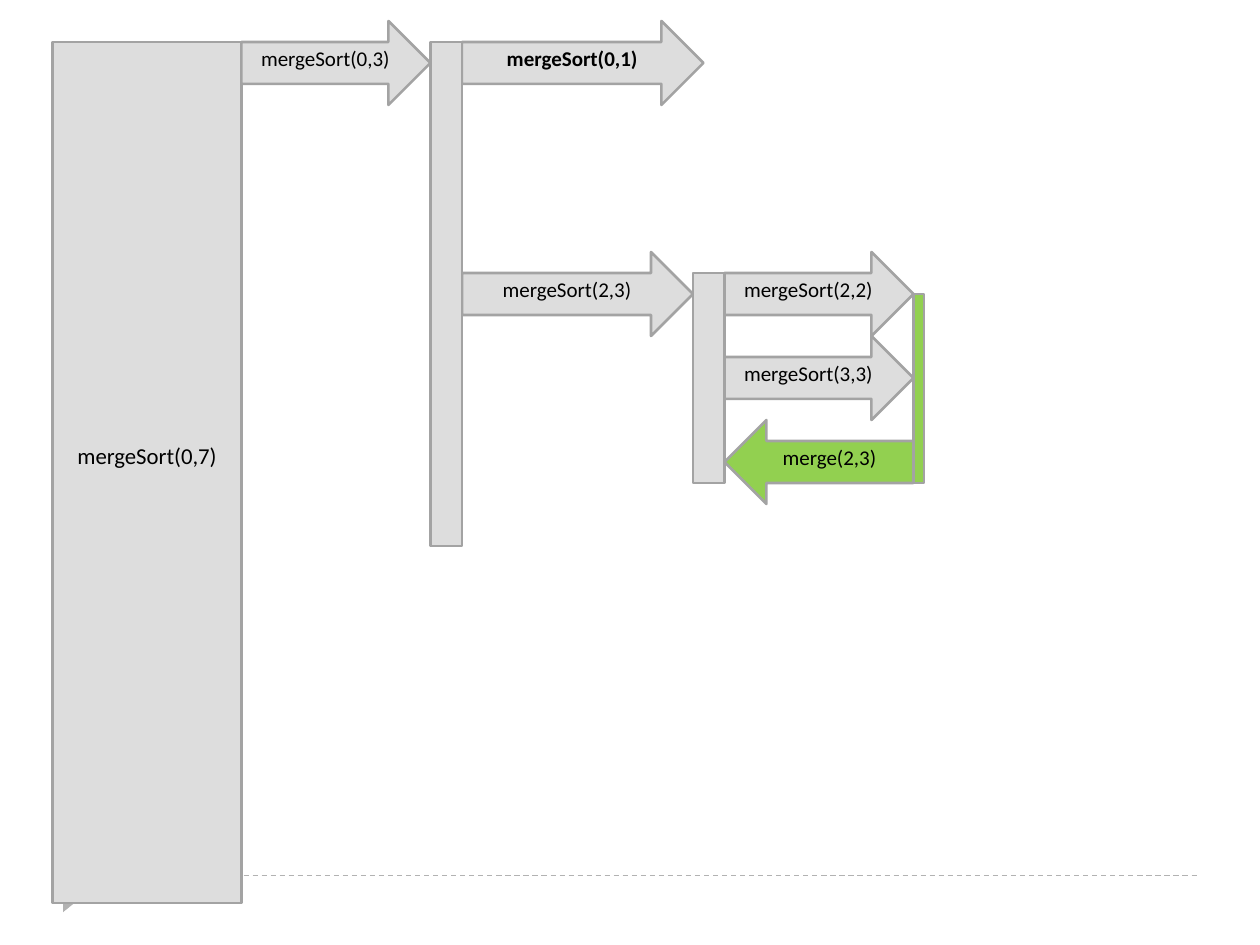
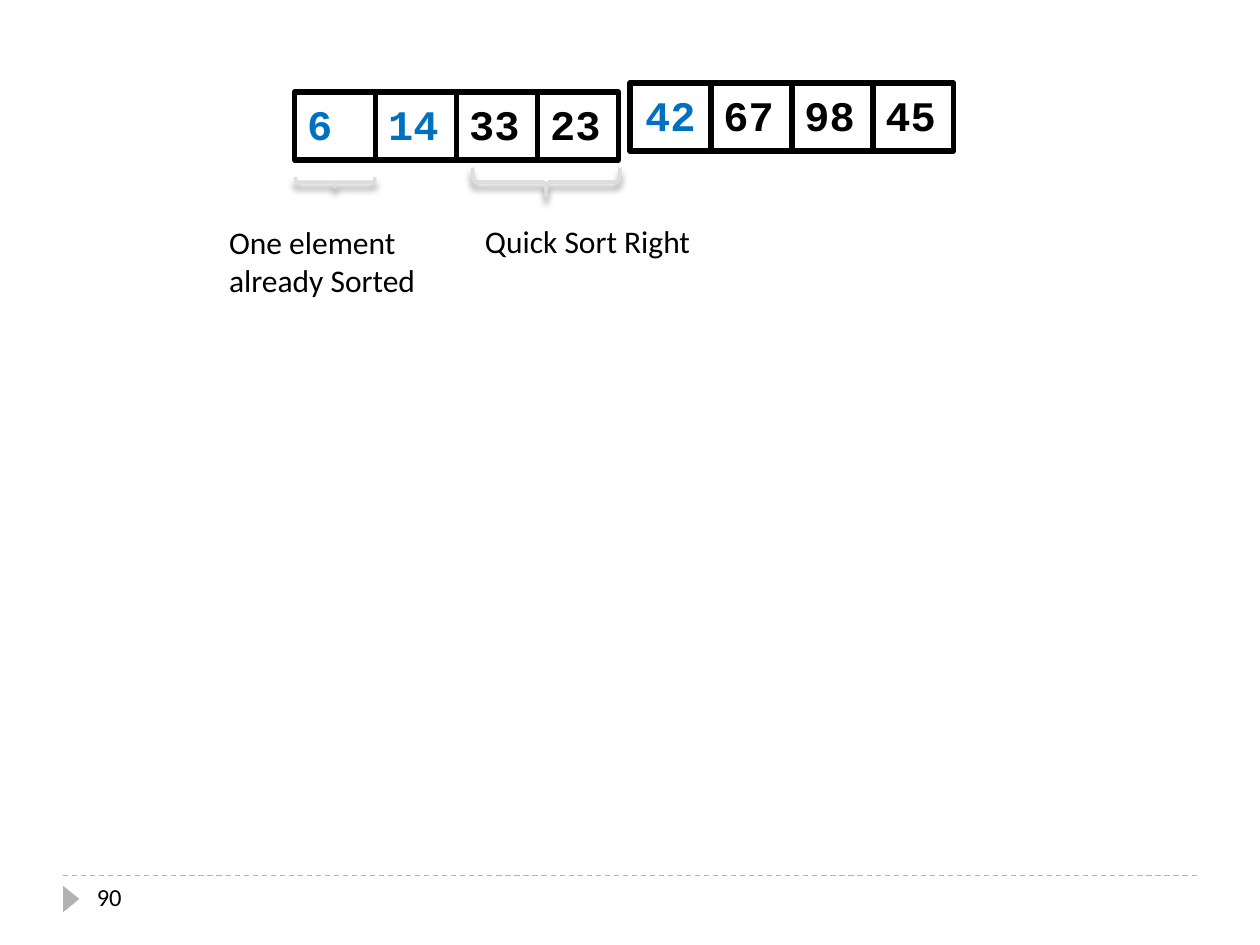
from dataclasses import dataclass

from lxml import etree
from pptx import Presentation
from pptx import util as u
from pptx.dml import color
from pptx.enum import dml, shapes, text
from pptx.oxml import ns

RECTANGLE = shapes.MSO_SHAPE.RECTANGLE
RIGHT = shapes.MSO_SHAPE.RIGHT_ARROW
LEFT = shapes.MSO_SHAPE.LEFT_ARROW
BRACE = shapes.MSO_SHAPE.RIGHT_BRACE


@dataclass(frozen=True)
class Theme:
    gray: str = "DDDDDD"
    outline: str = "A3A3A3"
    footer: str = "B2B2B2"
    green: str = "92D050"
    blue: str = "0070C0"
    black: str = "000000"
    body_font: str = "Calibri"
    code_font: str = "Courier New"
    call_size: int = 12
    root_size: int = 13
    number_size: int = 14
    label_size: int = 18
    cell_size: int = 24


THEME = Theme()

GRID = 12
ARROW_HEIGHT = 8
ROOT_CALL = ("mergeSort(0,7)", (5, 4, 18, 82))
CALL_ARROWS = [
    ("mergeSort(0,3)", 23, 2, 18, RIGHT, THEME.gray, False),
    ("mergeSort(0,1)", 44, 2, 23, RIGHT, THEME.gray, True),
    ("mergeSort(2,3)", 44, 24, 22, RIGHT, THEME.gray, False),
    ("mergeSort(2,2)", 69, 24, 18, RIGHT, THEME.gray, False),
    ("mergeSort(3,3)", 69, 32, 18, RIGHT, THEME.gray, False),
    ("merge(2,3)", 69, 40, 18, LEFT, THEME.green, False),
]
CALL_BARS = [
    ((41, 4, 3, 48), THEME.gray),
    ((66, 26, 3, 20), THEME.gray),
    ((87, 28, 1, 18), THEME.green),
]

CELL_WIDTH, CELL_HEIGHT = 0.64, 0.54
CELL_PITCH = 0.643
ARRAY_HALVES = [
    (2.34, 0.73, ["6", "14", "33", "23"]),
    (5.0, 0.66, ["42", "67", "98", "45"]),
]
PLACED_VALUES = {"6", "14", "42"}
CENTERED_VALUES = {"42"}
BRACES = [(2.62, 1.13, 0.08, 0.63), (4.22, 0.86, 0.23, 1.17)]
LABELS = [
    ("90", (0.67, 6.95, 2.17, 0.4), THEME.number_size),
    ("One element already Sorted", (1.72, 1.72, 1.72, 0.71), THEME.label_size),
    ("Quick Sort Right", (3.75, 1.71, 2.19, 0.4), THEME.label_size),
]


def rgb(value):
    return color.RGBColor.from_string(value)


def inches(box):
    return [u.Inches(value) for value in box]


def grid_box(box):
    return [value / GRID for value in box]


def add_shape(slide, kind, box, fill=None, line=None, width=1.5):
    shape = slide.shapes.add_shape(kind, *inches(box))
    shape.shadow.inherit = False
    if fill:
        shape.fill.solid()
        shape.fill.fore_color.rgb = rgb(fill)
    else:
        shape.fill.background()
    if line:
        shape.line.color.rgb = rgb(line)
        shape.line.width = u.Pt(width)
    else:
        shape.line.fill.background()
    return shape


def write(shape, words, size, font=THEME.body_font, ink=THEME.black,
          bold=False, align=text.PP_ALIGN.LEFT):
    frame = shape.text_frame
    frame.word_wrap = True
    paragraph = frame.paragraphs[0]
    paragraph.text = words
    paragraph.alignment = align
    paragraph.font.name = font
    paragraph.font.size = u.Pt(size)
    paragraph.font.bold = bold
    paragraph.font.color.rgb = rgb(ink)
    return frame


def write_call(shape, words, size, lift, bold=False):
    frame = write(shape, words, size, bold=bold, align=text.PP_ALIGN.CENTER)
    frame.vertical_anchor = text.MSO_ANCHOR.MIDDLE
    frame.margin_top = 0
    frame.margin_bottom = u.Inches(lift)


def add_footer_to_master(presentation, slide):
    rule = slide.shapes.add_connector(
        shapes.MSO_CONNECTOR.STRAIGHT, *inches((0.5, 6.95, 9.5, 6.95)))
    rule.line.color.rgb = rgb(THEME.footer)
    rule.line.width = u.Pt(0.75)
    rule.line.dash_style = dml.MSO_LINE.DASH
    etree.SubElement(rule.element.spPr, ns.qn("a:effectLst"))
    marker = add_shape(slide, shapes.MSO_SHAPE.ISOSCELES_TRIANGLE,
                       (0.46, 7.07, 0.21, 0.13), THEME.footer)
    marker.rotation = 90
    master_shapes = presentation.slide_master.shapes
    next_id = max(shape.shape_id for shape in master_shapes) + 1
    for number, shape in enumerate((rule, marker), next_id):
        shape.element.xpath(".//p:cNvPr")[0].set("id", str(number))
        master_shapes.element.append(shape.element)


def add_soft_shadow(shape):
    effects = shape.element.spPr.find(ns.qn("a:effectLst"))
    shadow = etree.SubElement(
        effects, ns.qn("a:outerShdw"), blurRad=str(u.Pt(4)),
        dist=str(u.Pt(3.4)), dir="5400000", rotWithShape="0")
    ink = etree.SubElement(shadow, ns.qn("a:srgbClr"), val=THEME.black)
    etree.SubElement(ink, ns.qn("a:alpha"), val="40000")


def build_call_tree(slide):
    words, box = ROOT_CALL
    root = add_shape(slide, RECTANGLE, grid_box(box), THEME.gray, THEME.outline)
    write_call(root, words, THEME.root_size, 0.27)
    for words, left, top, width, kind, fill, bold in CALL_ARROWS:
        box = grid_box((left, top, width, ARROW_HEIGHT))
        arrow = add_shape(slide, kind, box, fill, THEME.outline)
        write_call(arrow, words, THEME.call_size, 0.07, bold)
    for box, fill in CALL_BARS:
        add_shape(slide, RECTANGLE, grid_box(box), fill, THEME.outline)


def build_array(slide):
    for left, top, values in ARRAY_HALVES:
        for index, value in enumerate(values):
            box = (left + index * CELL_PITCH, top, CELL_WIDTH, CELL_HEIGHT)
            cell = add_shape(slide, RECTANGLE, box, line=THEME.black, width=3)
            frame = write(
                cell, value, THEME.cell_size, THEME.code_font,
                THEME.blue if value in PLACED_VALUES else THEME.black, True,
                text.PP_ALIGN.CENTER if value in CENTERED_VALUES
                else text.PP_ALIGN.LEFT)
            frame.vertical_anchor = text.MSO_ANCHOR.TOP
    for box in BRACES:
        brace = add_shape(slide, BRACE, box, line=THEME.gray, width=2)
        brace.rotation = 90
        add_soft_shadow(brace)
    for words, box, size in LABELS:
        write(slide.shapes.add_textbox(*inches(box)), words, size)


def main():
    presentation = Presentation()
    presentation.slide_width = u.Inches(10)
    presentation.slide_height = u.Inches(7.5)
    blank = presentation.slide_layouts[6]
    call_slide = presentation.slides.add_slide(blank)
    array_slide = presentation.slides.add_slide(blank)
    add_footer_to_master(presentation, call_slide)
    build_call_tree(call_slide)
    build_array(array_slide)
    presentation.save("out.pptx")


if __name__ == "__main__":
    main()
